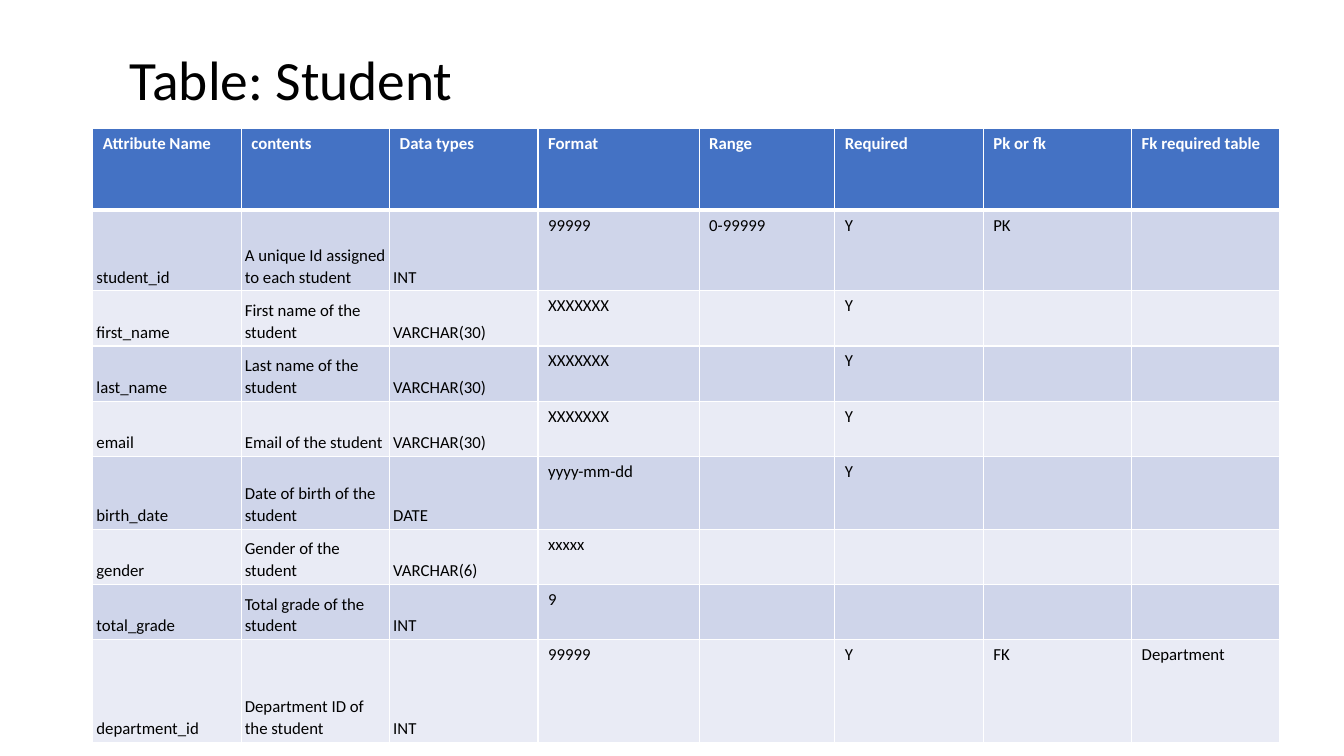
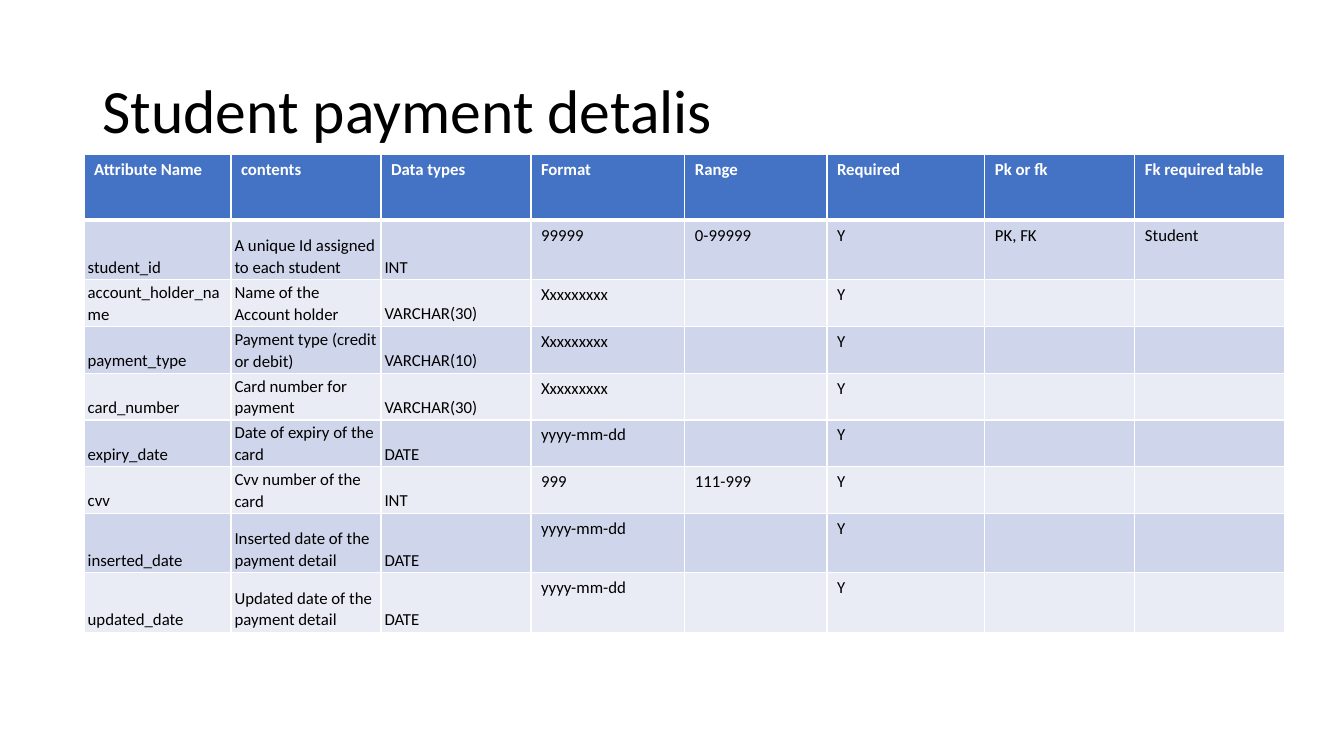
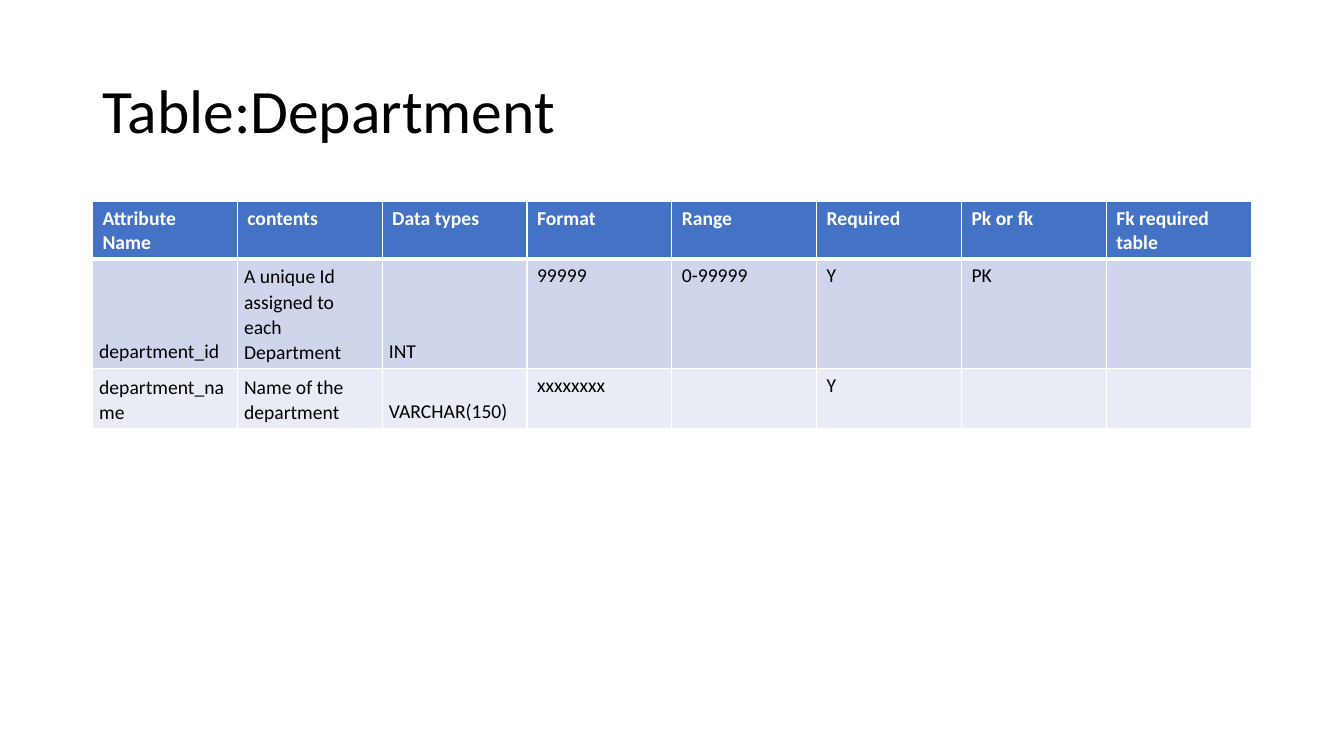
import pptx
import pptx.dml.color
import pptx.enum.text
import pptx.oxml
import pptx.oxml.ns
import pptx.util

Cm = pptx.util.Cm
Pt = pptx.util.Pt
RGBColor = pptx.dml.color.RGBColor
Anchor = pptx.enum.text.MSO_ANCHOR

BLACK = RGBColor(0x00, 0x00, 0x00)
WHITE = RGBColor(0xFF, 0xFF, 0xFF)
HEADER_BLUE = RGBColor(0x44, 0x72, 0xC4)
BANDS = (RGBColor(0xCF, 0xD5, 0xEA), RGBColor(0xE9, 0xEB, 0xF5))

HEADERS = ("Attribute Name", "contents", "Data types", "Format",
           "Range", "Required", "Pk or fk", "Fk required table")
DESCRIPTIVE_COLUMNS = 3  # the leading columns sit at the bottom of their cells


class Deck:
    """Holds the shared style and the slide being built."""

    font = "Calibri"
    thin, thick = Pt(1), Pt(3)

    def __init__(self):
        self.presentation = pptx.Presentation()
        self.presentation.slide_width = Cm(33.87)
        self.presentation.slide_height = Cm(19.05)
        self.slide = None

    def add_slide(self):
        self.slide = self.presentation.slides.add_slide(self.presentation.slide_layouts[6])

    def style(self, paragraph, size, color, bold=False):
        paragraph.font.name = self.font
        paragraph.font.size = Pt(size)
        paragraph.font.bold = bold
        paragraph.font.color.rgb = color

    def title(self, text, left=2.33, top=1.01, height=3.68, size=44):
        shape = self.slide.shapes.add_textbox(Cm(left), Cm(top), Cm(29.21), Cm(height))
        frame = shape.text_frame
        frame.word_wrap = True
        frame.vertical_anchor = Anchor.MIDDLE
        paragraph = frame.paragraphs[0]
        paragraph.text = text
        paragraph.line_spacing = 0.9
        self.style(paragraph, size, BLACK)

    def borders(self, cell, top, bottom):
        """Draw white lines on the four sides of a cell."""
        properties = cell._tc.get_or_add_tcPr()
        widths = {"lnL": self.thin, "lnR": self.thin, "lnT": top, "lnB": bottom}
        for side, width in widths.items():
            properties.append(pptx.oxml.parse_xml(
                f'<a:{side} {pptx.oxml.ns.nsdecls("a")} w="{width}"><a:solidFill>'
                f'<a:srgbClr val="{WHITE}"/></a:solidFill></a:{side}>'))

    def cell(self, cell, text, row, column, size, margins):
        header = row == 0
        self.borders(cell, self.thick if row == 1 else self.thin,
                     self.thick if header else self.thin)
        cell.fill.solid()
        cell.fill.fore_color.rgb = HEADER_BLUE if header else BANDS[(row - 1) % 2]
        if not text:
            return
        paragraph = cell.text_frame.paragraphs[0]
        paragraph.text = text
        self.style(paragraph, size, WHITE if header else BLACK, header)
        if not header and column < DESCRIPTIVE_COLUMNS:
            cell.vertical_anchor = Anchor.BOTTOM
            cell.margin_left = cell.margin_right = Cm(margins[0])
            cell.margin_top = cell.margin_bottom = Cm(margins[1])
            paragraph.line_spacing = 1.06
            paragraph.space_after = Pt(8)

    def attribute_table(self, left, top, height, widths, heights, records, margins, size=12):
        rows = (HEADERS, *records)
        shape = self.slide.shapes.add_table(
            len(rows), len(HEADERS), Cm(left), Cm(top), Cm(sum(widths)), Cm(height))
        table = shape.table
        table.first_row = table.horz_banding = False
        for column, width in zip(table.columns, widths):
            column.width = Cm(width)
        for row, row_height in zip(table.rows, heights):
            row.height = Cm(row_height)
        shape.height = Cm(height)
        for row, values in enumerate(rows):
            for column in range(len(HEADERS)):
                text = values[column] if column < len(values) else ""
                self.cell(table.cell(row, column), text, row, column, size, margins)


def main():
    deck = Deck()

    # Student table
    deck.add_slide()
    deck.title("Table: Student", left=3.02, top=1.35, height=1.47, size=39.6)
    deck.attribute_table(
        2.34, 3.24, 15.44,
        widths=[3.74] * 3 + [4.06, 3.42] + [3.74] * 3,
        heights=[2.06, 2.03] + [1.39] * 3 + [1.84] + [1.39] * 2 + [2.59],
        margins=(0.09, 0.08),
        records=[
            ("student_id", "A unique Id assigned to each student", "INT",
             "99999", "0-99999", "Y", "PK"),
            ("first_name", "First name of the student", "VARCHAR(30)", "XXXXXXX", "", "Y"),
            ("last_name", "Last name of the student", "VARCHAR(30)", "XXXXXXX", "", "Y"),
            ("email", "Email of the student", "VARCHAR(30)", "XXXXXXX", "", "Y"),
            ("birth_date", "Date of birth of the student", "DATE", "yyyy-mm-dd", "", "Y"),
            ("gender", "Gender of the student", "VARCHAR(6)", "xxxxx"),
            ("total_grade", "Total grade of the student", "INT", "9"),
            ("department_id", "Department ID of the student", "INT",
             "99999", "", "Y", "FK", "Department"),
        ])

    # Payment table
    deck.add_slide()
    deck.title("Student payment detalis")
    deck.attribute_table(
        2.12, 3.9, 12.01,
        widths=[3.7, 3.78, 3.78, 3.88, 3.58, 3.98, 3.78, 3.78],
        heights=[1.65, 1.5] + [1.02] * 5 + [1.5] * 2,
        margins=(0.09, 0.05),
        records=[
            ("student_id", "A unique Id assigned to each student", "INT",
             "99999", "0-99999", "Y", "PK, FK", "Student"),
            ("account_holder_name", "Name of the Account holder", "VARCHAR(30)",
             "Xxxxxxxxx", "", "Y"),
            ("payment_type", "Payment type (credit or debit)", "VARCHAR(10)",
             "Xxxxxxxxx", "", "Y"),
            ("card_number", "Card number for payment", "VARCHAR(30)", "Xxxxxxxxx", "", "Y"),
            ("expiry_date", "Date of expiry of the card", "DATE", "yyyy-mm-dd", "", "Y"),
            ("cvv", "Cvv number of the card", "INT", "999", "111-999", "Y"),
            ("inserted_date", "Inserted date of the payment detail", "DATE",
             "yyyy-mm-dd", "", "Y"),
            ("updated_date", "Updated date of the payment detail", "DATE",
             "yyyy-mm-dd", "", "Y"),
        ])

    # Department table
    deck.add_slide()
    deck.title("Table:Department")
    deck.attribute_table(
        2.33, 5.08, 5.64,
        widths=[3.65] * len(HEADERS),
        heights=[1.04] * 3,
        margins=(0.17, 0.13),
        size=14,
        records=[
            ("department_id", "A unique Id assigned to each Department", "INT",
             "99999", "0-99999", "Y", "PK"),
            ("department_name", "Name of the department", "VARCHAR(150)", "xxxxxxxx", "", "Y"),
        ])

    deck.presentation.save("out.pptx")


if __name__ == "__main__":
    main()
